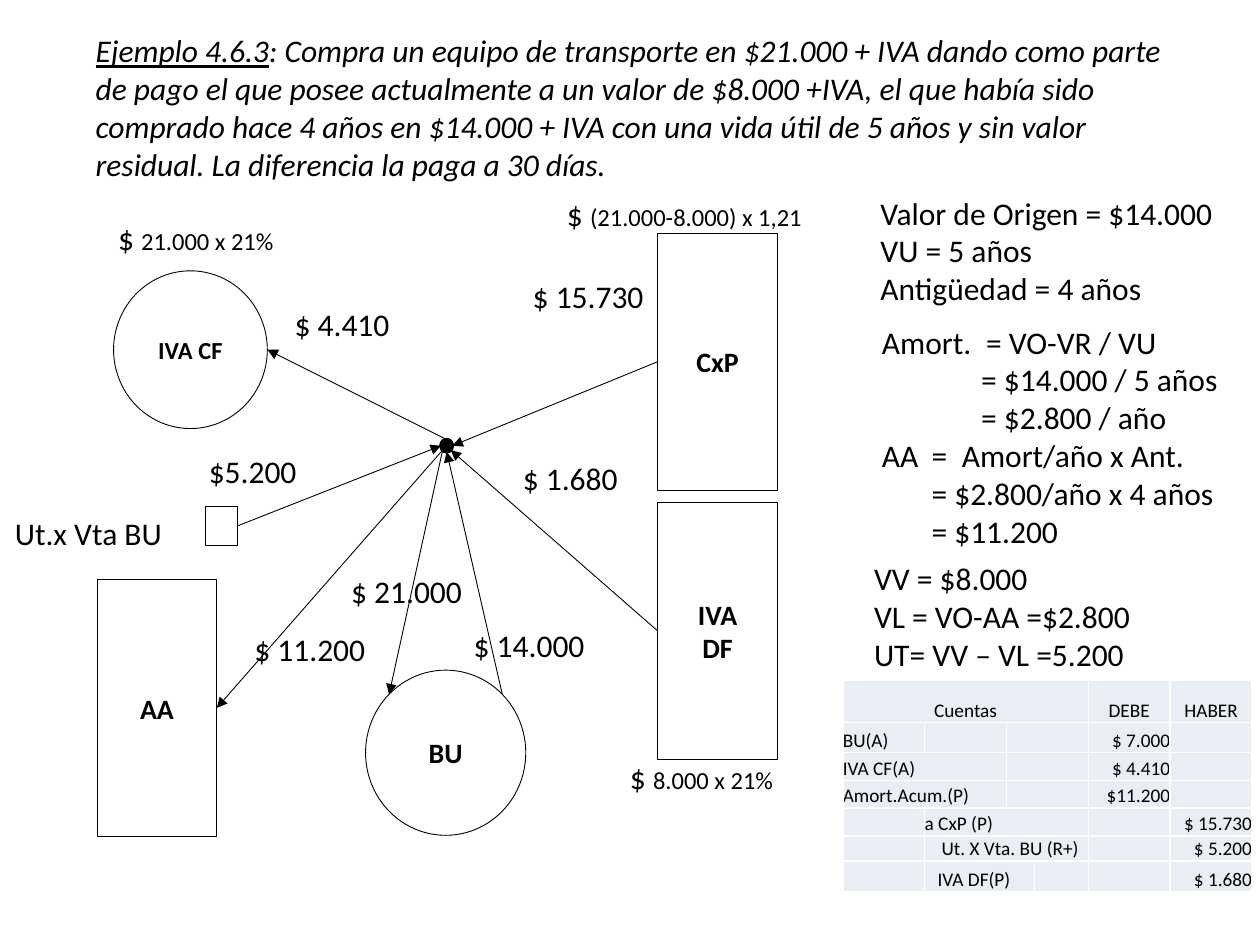
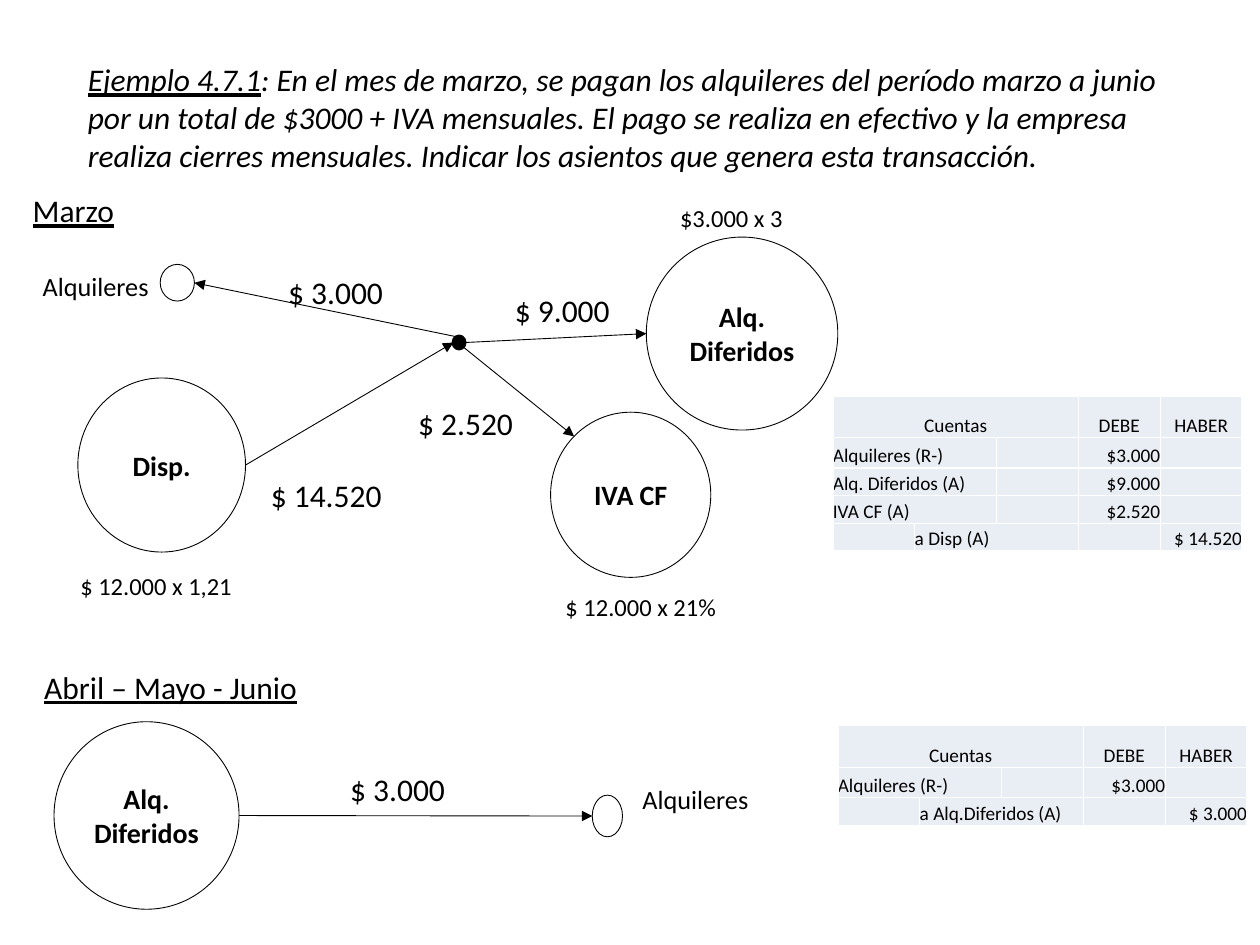
from math import cos, radians, sin

from lxml import etree
from pptx import Presentation
from pptx import util as u
from pptx.dml.color import RGBColor
from pptx.enum import shapes, text
from pptx.oxml.ns import qn

THEME = {
    "ink": RGBColor(0, 0, 0),
    "cell": RGBColor(0xE9, 0xED, 0xF4),
    "grid": "FFFFFF",
    "thin": u.Pt(0.5),
    "thick": u.Pt(2),
    "styles": {
        "example": {"size": u.Pt(18), "italic": True, "underline": True},
        "prose": {"size": u.Pt(18), "italic": True},
        "amount": {"size": u.Pt(18)},
        "period": {"size": u.Pt(18), "underline": True},
        "account": {"size": u.Pt(15)},
        "calc": {"size": u.Pt(14)},
        "node": {"size": u.Pt(16), "bold": True},
        "small node": {"size": u.Pt(14), "bold": True},
        "entry": {"size": u.Pt(11)},
    },
}
ALIGN = text.PP_ALIGN
NO_MARGINS = dict.fromkeys(("margin_left", "margin_top", "margin_right", "margin_bottom"), 0)

# All places and sizes are in centimetres.
COLUMN = 1.65
BAR = (2.41, 5.18)
DOT = (0.23, 0.25)
ROW_HEIGHTS = (0.84, 0.61, 0.56, 0.56, 0.56, 0.51, 0.61)

VEHICLE_SWAP = {
    "title": (1.68, 0.51, 4, "Ejemplo 4.6.3",
              ": Compra un equipo de transporte en $21.000 + IVA dando como parte de pago el que posee "
              "actualmente a un valor de $8.000 +IVA, el que había sido comprado hace 4 años en $14.000 "
              "+ IVA con una vida útil de 5 años y sin valor residual. La diferencia la paga a 30 días."),
    # key: (kind, left, top, (width, height), lines of text, style)
    "nodes": {
        "hub": ("dot", 8.89, 8.86, DOT, (), "node"),
        "IVA CF": ("oval", 2.29, 5.46, (3.1, 3.18), ("IVA CF",), "small node"),
        "IVA DF": ("box", 13.26, 10.13, BAR, ("IVA", "DF"), "node"),
        "Ut": ("box", 4.14, 10.21, (0.64, 0.79), (), "node"),
        "BU": ("oval", 7.37, 13.51, (3.23, 3.33), ("BU",), "node"),
        "AA": ("box", 1.96, 11.68, BAR, ("AA",), "node"),
        "CxP": ("box", 13.26, 4.7, BAR, ("CxP",), "node"),
    },
    # from node, side, to node, side
    "flows": [
        ("hub", "n", "IVA CF", "e"),
        ("IVA DF", "w", "hub", "se"),
        ("CxP", "w", "hub", "e"),
        ("Ut", "e", "hub", "w"),
        ("hub", "sw", "AA", "e"),
        ("BU", "ne", "hub", "s"),
        ("hub", "sw", "BU", "nw"),
    ],
    # left, top, width, then runs of (text, style)
    "labels": [
        (3.96, 8.99, 2.44, ("$5.200", "amount")),
        (10.29, 9.12, 2.44, ("$ 1.680", "amount")),
        (5.69, 6.02, 2.59, ("$ 4.410", "amount")),
        (10.49, 5.46, 2.77, ("$ 15.730", "amount")),
        (0.05, 10.24, 3.84, ("Ut.x Vta BU", "amount")),
        (4.88, 12.57, 2.77, ("$ 11.200", "amount")),
        (9.3, 12.5, 2.77, ("$ 14.000", "amount")),
        (6.83, 11.4, 2.77, ("$ 21.000", "amount")),
        (12.45, 15.16, 3.43, ("$ ", "amount"), ("8.000 x 21%", "calc")),
        (11.18, 3.81, 5.31, ("$ ", "amount"), ("(21.000-8.000) x 1,21", "calc")),
        (2.13, 4.29, 3.68, ("$ ", "amount"), ("21.000 x 21%", "calc")),
    ],
    # left, top, width, then lines of (text, indent, tab stops)
    "workings": [
        (17.5, 3.78, 7.39, [
            ("Valor de Origen = $14.000", 0, ()),
            ("VU = 5 años", 0, ()),
            ("Antigüedad = 4 años", 0, ()),
        ]),
        (17.53, 6.38, 7.39, [
            ("Amort.\t= VO-VR / VU", 0, (2.1,)),
            ("= $14.000 / 5 años", 2, ()),
            ("= $2.800 / año", 2, ()),
            ("AA\t=\tAmort/año x Ant.", 0, (1, 1.61)),
            ("= $2.800/año x 4 años", 1, ()),
            ("= $11.200", 1, ()),
        ]),
        (17.37, 11.15, 7.52, [
            ("VV = $8.000", 0, ()),
            ("VL = VO-AA =$2.800", 0, ()),
            ("UT= VV – VL =5.200", 0, ()),
        ]),
    ],
    # left, top, widths of the account columns, rows of (account cells, debit, credit);
    # an account cell is (columns spanned, text, indent)
    "journals": [
        (16.99, 13.72, (COLUMN, COLUMN, 0.56, 1.09), [
            ([(1, "BU(A)", 0), (1, "", 0), (2, "", 0)], "$ 7.000", ""),
            ([(2, "IVA CF(A)", 0), (2, "", 0)], "$ 4.410", ""),
            ([(2, "Amort.Acum.(P)", 0), (2, "", 0)], "$11.200", ""),
            ([(1, "", 0), (3, "a CxP (P)", 0)], "", "$ 15.730"),
            ([(1, "", 0), (3, "Ut. X Vta. BU (R+)", 0.34)], "", "$ 5.200"),
            ([(1, "", 0), (2, "IVA DF(P)", 0.26), (1, "", 0)], "", "$ 1.680"),
        ]),
    ],
}

PREPAID_RENT = {
    "title": (1.52, 1.09, 3, "Ejemplo 4.7.1",
              ": En el mes de marzo, se pagan los alquileres del período marzo a junio por un total de "
              "$3000 + IVA mensuales. El pago se realiza en efectivo y la empresa realiza cierres "
              "mensuales. Indicar los asientos que genera esta transacción."),
    "nodes": {
        "hub": ("dot", 9.14, 6.78, DOT, (), "node"),
        "Disp": ("oval", 1.57, 7.62, (3.38, 3.51), ("Disp.",), "node"),
        "Diferidos": ("oval", 13.03, 4.78, (3.86, 3.89), ("Alq.", "Diferidos"), "node"),
        "Alquileres": ("oval", 3.23, 5.33, (0.69, 0.74), (), "node"),
        "IVA CF": ("oval", 11.1, 8.31, (3.23, 3.33), ("IVA CF",), "node"),
        "Alquileres abril": ("oval", 11.94, 16.03, (0.61, 0.84), (), "node"),
        "Diferidos abril": ("oval", 1.09, 14.55, (3.73, 3.78), ("Alq.", "Diferidos"), "node"),
    },
    "flows": [
        ("hub", "ne", "Alquileres", "e"),
        ("hub", "e", "Diferidos", "w"),
        ("Disp", "e", "hub", "w"),
        ("hub", "se", "IVA CF", "nw"),
        ("Diferidos abril", "e", "Alquileres abril", "w"),
    ],
    "labels": [
        (0.41, 3.73, 2.16, ("Marzo", "period")),
        (0.61, 5.33, 2.9, ("Alquileres", "account")),
        (5.56, 5.38, 2.44, ("$ 3.000", "amount")),
        (10.13, 5.74, 2.44, ("$ 9.000", "amount")),
        (8.18, 8.03, 2.59, ("$ 2.520", "amount")),
        (5.21, 9.47, 2.77, ("$ 14.520", "amount")),
        (13.46, 3.96, 2.59, ("$3.000 x 3", "calc")),
        (11.15, 11.81, 3.68, ("$ 12.000 x 21%", "calc")),
        (1.37, 11.38, 3.71, ("$ 12.000 x 1,21", "calc")),
        (0.64, 13.34, 5.66, ("Abril – Mayo - Junio", "period")),
        (12.7, 15.67, 2.9, ("Alquileres", "account")),
        (6.81, 15.39, 2.44, ("$ 3.000", "amount")),
    ],
    "workings": [],
    "journals": [
        (16.79, 7.98, (COLUMN,) * 3, [
            ([(2, "Alquileres (R-)", 0), (1, "", 0)], "$3.000", ""),
            ([(2, "Alq. Diferidos (A)", 0), (1, "", 0)], "$9.000", ""),
            ([(2, "IVA CF (A)", 0), (1, "", 0)], "$2.520", ""),
            ([(1, "", 0), (2, "a Disp (A)", 0)], "", "$ 14.520"),
        ]),
        (16.89, 14.63, (COLUMN,) * 3, [
            ([(2, "Alquileres (R-)", 0), (1, "", 0)], "$3.000", ""),
            ([(1, "", 0), (2, "a Alq.Diferidos (A)", 0)], "", "$ 3.000"),
        ]),
    ],
}

ANGLES = {side: 45 * i for i, side in enumerate(("e", "se", "s", "sw", "w", "nw", "n", "ne"))}
BOX_SITES = {"n": 0, "w": 1, "s": 2, "e": 3}


def set_all(target, values):
    for name, value in values.items():
        setattr(target, name, value)


def write(paragraph, runs, align=ALIGN.LEFT, indent=0, tabs=()):
    paragraph.alignment = align
    properties = paragraph._p.get_or_add_pPr()
    if indent:
        properties.set("marL", str(u.Cm(indent)))
    if tabs:
        stops = etree.SubElement(properties, qn("a:tabLst"))
        for tab in tabs:
            etree.SubElement(stops, qn("a:tab"), pos=str(u.Cm(tab)), algn="l")
    for words, style in runs:
        run = paragraph.add_run()
        run.text = words
        set_all(run.font, {"name": "Calibri", **THEME["styles"][style]})
        run.font.color.rgb = THEME["ink"]


def paragraphs(frame, count):
    return [frame.paragraphs[0]] + [frame.add_paragraph() for _ in range(count - 1)]


def add_text(slide, left, top, width, lines, size, wrap, rows=None):
    """Add a box just high enough for its rows; each line holds the arguments of write()."""
    height = u.Cm(0.25) + int(size * 1.2) * (rows or len(lines))
    frame = slide.shapes.add_textbox(u.Cm(left), u.Cm(top), u.Cm(width), height).text_frame
    set_all(frame, {"word_wrap": wrap, "auto_size": text.MSO_AUTO_SIZE.SHAPE_TO_FIT_TEXT})
    for paragraph, line in zip(paragraphs(frame, len(lines)), lines):
        write(paragraph, **line)


def add_node(slide, kind, left, top, size, lines, style):
    preset = shapes.MSO_SHAPE.RECTANGLE if kind == "box" else shapes.MSO_SHAPE.OVAL
    node = slide.shapes.add_shape(preset, *map(u.Cm, (left, top, *size)))
    node.shadow.inherit = False
    if kind == "dot":
        node.fill.solid()
        node.fill.fore_color.rgb = THEME["ink"]
    else:
        node.fill.background()
    node.line.color.rgb = THEME["ink"]
    node.line.width = THEME["thick" if kind == "dot" else "thin"]
    set_all(node.text_frame, {**NO_MARGINS, "vertical_anchor": text.MSO_ANCHOR.MIDDLE})
    for paragraph, words in zip(paragraphs(node.text_frame, len(lines)), lines):
        write(paragraph, [(words, style)], ALIGN.CENTER)
    return node


def rim_point(node, side):
    """Point where a compass direction meets the outline."""
    angle = radians(ANGLES[side])
    return (int(node.left + node.width / 2 * (1 + cos(angle))),
            int(node.top + node.height / 2 * (1 + sin(angle))))


def add_flow(slide, source, source_side, target, target_side):
    flow = slide.shapes.add_connector(shapes.MSO_CONNECTOR.STRAIGHT,
                                      *rim_point(source, source_side), *rim_point(target, target_side))
    for join, node, side in ((flow.begin_connect, source, source_side),
                             (flow.end_connect, target, target_side)):
        if node.auto_shape_type == shapes.MSO_SHAPE.RECTANGLE:
            join(node, BOX_SITES[side])
    flow.line.color.rgb = THEME["ink"]
    flow.line.width = THEME["thin"]
    etree.SubElement(flow.line._get_or_add_ln(), qn("a:tailEnd"), type="triangle")
    etree.SubElement(flow._element.spPr, qn("a:effectLst"))


def format_cell(cell):
    set_all(cell, {**NO_MARGINS, "vertical_anchor": text.MSO_ANCHOR.BOTTOM})
    cell.fill.solid()
    cell.fill.fore_color.rgb = THEME["cell"]
    properties = cell._tc.get_or_add_tcPr()
    for place, edge in enumerate(("a:lnL", "a:lnR", "a:lnT", "a:lnB")):
        border = etree.Element(qn(edge), w=str(u.Pt(1)))
        fill = etree.SubElement(border, qn("a:solidFill"))
        etree.SubElement(fill, qn("a:srgbClr"), val=THEME["grid"])
        properties.insert(place, border)


def add_journal(slide, left, top, account_columns, entries):
    widths = (*account_columns, COLUMN, COLUMN)
    heights = ROW_HEIGHTS[:len(entries) + 1]
    table = slide.shapes.add_table(len(heights), len(widths), u.Cm(left), u.Cm(top),
                                   u.Cm(sum(widths)), u.Cm(sum(heights))).table
    set_all(table, {"first_row": False, "horz_banding": False})
    for column, width in zip(table.columns, widths):
        column.width = u.Cm(width)
    for row, height in zip(table.rows, heights):
        row.height = u.Cm(height)
    for cell in table.iter_cells():
        format_cell(cell)

    header = ([(len(account_columns), "Cuentas", 0)], "DEBE", "HABER")
    for r, (accounts, debit, credit) in enumerate([header, *entries]):
        c = 0
        for span, words, indent in [*accounts, (1, debit, 0), (1, credit, 0)]:
            cell = table.cell(r, c)
            if span > 1:
                cell.merge(table.cell(r, c + span - 1))
            align = ALIGN.CENTER if r == 0 else ALIGN.RIGHT if c >= len(account_columns) else ALIGN.LEFT
            if words:
                write(cell.text_frame.paragraphs[0], [(words, "entry")], align, indent)
            c += span
    for cell in table.iter_cells():
        if not cell.text:
            size = THEME["styles"]["entry"]["size"].centipoints
            etree.SubElement(cell.text_frame.paragraphs[0]._p, qn("a:endParaRPr"), sz=str(size))


def add_example(deck, content):
    slide = deck.slides.add_slide(deck.slide_layouts[6])
    styles = THEME["styles"]
    left, top, rows, name, statement = content["title"]
    add_text(slide, left, top, 22.35, [{"runs": [(name, "example"), (statement, "prose")]}],
             styles["prose"]["size"], True, rows)
    nodes = {key: add_node(slide, *node) for key, node in content["nodes"].items()}
    for source, source_side, target, target_side in content["flows"]:
        add_flow(slide, nodes[source], source_side, nodes[target], target_side)
    for left, top, width, *runs in content["labels"]:
        add_text(slide, left, top, width, [{"runs": runs}], styles[runs[0][1]]["size"], False)
    for left, top, width, steps in content["workings"]:
        lines = [{"runs": [(words, "amount")], "indent": indent, "tabs": tabs}
                 for words, indent, tabs in steps]
        add_text(slide, left, top, width, lines, styles["amount"]["size"], True)
    for journal in content["journals"]:
        add_journal(slide, *journal)


def main():
    deck = Presentation()
    set_all(deck, {"slide_width": u.Cm(25.4), "slide_height": u.Cm(19.05)})
    for content in (VEHICLE_SWAP, PREPAID_RENT):
        add_example(deck, content)
    deck.save("out.pptx")


if __name__ == "__main__":
    main()
